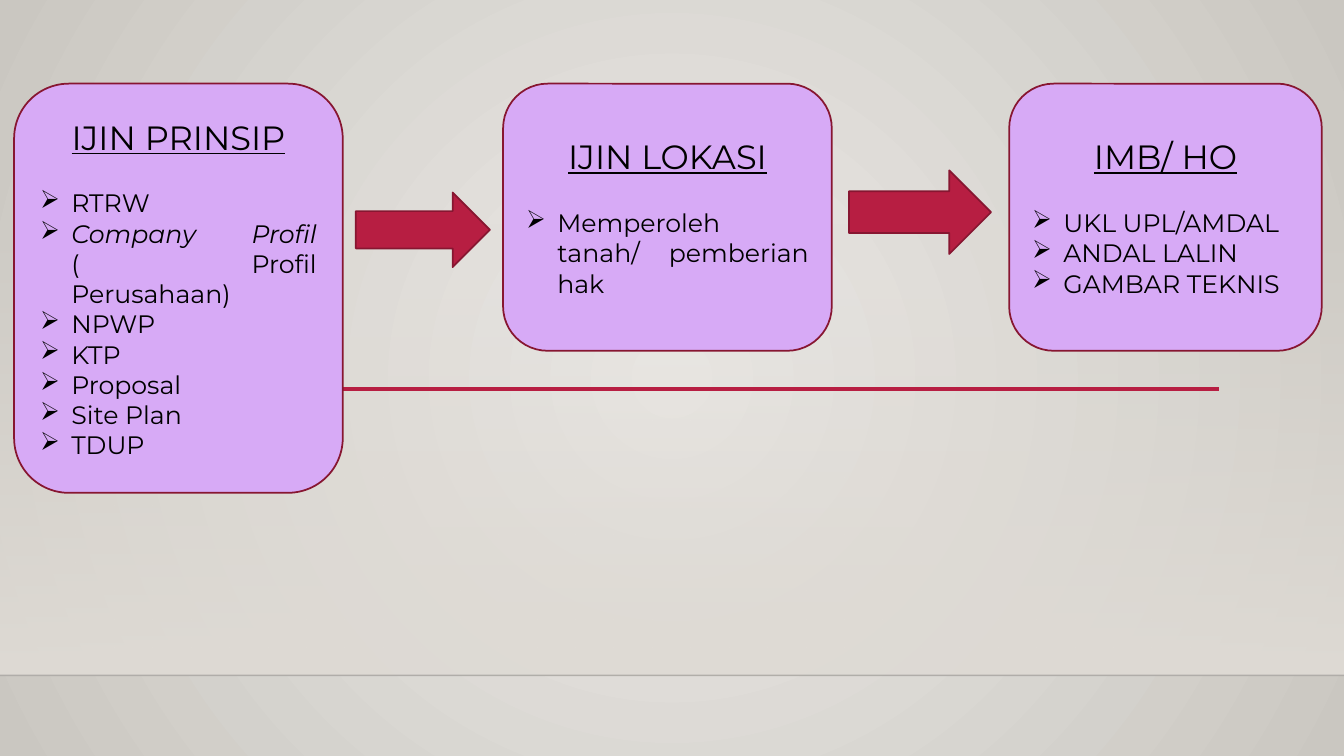
from pptx import Presentation
from pptx.dml.color import RGBColor
from pptx.enum.shapes import MSO_CONNECTOR, MSO_SHAPE
from pptx.enum.text import MSO_ANCHOR, PP_ALIGN
from pptx.oxml import parse_xml
from pptx.oxml.ns import nsdecls, qn
from pptx.util import Pt

PX = 9144  # EMU per px, 100 px to the inch
WIDTH, HEIGHT = 1333, 750
FLOOR_Y, CARD_TOP = 670, 83
FONT = "Montserrat"
RED, DARK_RED, LILAC, BLACK = "B71E42", "871631", "D7AAF6", "000000"
INDENT = 31

# left, width, height, heading, items; an item is a list of (text, italic)
CARDS = [
    (14, 326, 406, "IJIN PRINSIP", [
        [("RTRW", False)],
        [("Company Profil ", True), ("( Profil Perusahaan)", False)],
        [("NPWP", False)],
        [("KTP", False)],
        [("Proposal", False)],
        [("Site Plan", False)],
        [("TDUP", False)],
    ]),
    (499, 326, 265, "IJIN LOKASI", [
        [("Memperoleh tanah/ pemberian hak", False)],
    ]),
    (1001, 310, 265, "IMB/ HO", [
        [("UKL UPL/AMDAL", False)],
        [("ANDAL LALIN", False)],
        [("GAMBAR TEKNIS", False)],
    ]),
]
ARROWS = [(353, 191, 133, 74), (842, 169, 141, 83)]


def rgb(color):
    return RGBColor.from_string(color)


def set_gradient(fill, owner, stops, direction):
    """Fill with (position, colour, opacity) stops, all in percent."""
    fill.background()
    empty = owner.find(".//" + qn("a:noFill"))
    gs = "".join(
        f'<a:gs pos="{pos * 1000}"><a:srgbClr val="{color}">'
        f'<a:alpha val="{opacity * 1000}"/></a:srgbClr></a:gs>'
        for pos, color, opacity in stops)
    empty.getparent().replace(empty, parse_xml(
        f'<a:gradFill {nsdecls("a")} rotWithShape="1">'
        f'<a:gsLst>{gs}</a:gsLst>{direction}</a:gradFill>'))


def add_box(s, kind, left, top, width, height, fill=None, line=None):
    sp = s.shapes.add_shape(kind, left * PX, top * PX, width * PX, height * PX)
    sp.shadow.inherit = False
    if fill:
        sp.fill.solid()
        sp.fill.fore_color.rgb = rgb(fill)
    if line:
        sp.line.color.rgb = rgb(line)
        sp.line.width = Pt(1.25)
    return sp


def add_line(s, left, right, y, color, width, opacity=100):
    line = s.shapes.add_connector(
        MSO_CONNECTOR.STRAIGHT, left * PX, y * PX, right * PX, y * PX)
    line.line.color.rgb = rgb(color)
    line.line.width = Pt(width)
    if opacity < 100:
        line.element.spPr.find(".//" + qn("a:srgbClr")).append(
            parse_xml(f'<a:alpha {nsdecls("a")} val="{opacity * 1000}"/>'))
    line.element.spPr.append(parse_xml(f'<a:effectLst {nsdecls("a")}/>'))


def add_text(p, text, size=18, color=BLACK, italic=False, underline=False):
    r = p.add_run()
    r.text = text
    r.font.name = FONT
    r.font.size = Pt(size)
    r.font.color.rgb = rgb(color)
    r.font.italic = italic
    r.font.underline = underline


def set_bullet(p):
    pPr = p._p.get_or_add_pPr()
    pPr.set("marL", str(INDENT * PX))
    pPr.set("indent", str(-INDENT * PX))
    pPr.append(parse_xml(f'<a:buChar {nsdecls("a")} char="➢"/>'))


def add_card(s, left, width, height, heading, items):
    sp = add_box(s, MSO_SHAPE.ROUNDED_RECTANGLE, left, CARD_TOP, width, height,
                 fill=LILAC, line=DARK_RED)
    tf = sp.text_frame
    tf.word_wrap = True
    tf.vertical_anchor = MSO_ANCHOR.MIDDLE
    p = tf.paragraphs[0]
    p.alignment = PP_ALIGN.CENTER
    p.space_after = Pt(22)
    add_text(p, heading, size=24, underline=True)
    for item in items:
        p = tf.add_paragraph()
        p.alignment = PP_ALIGN.JUSTIFY
        set_bullet(p)
        for text, italic in item:
            add_text(p, text, italic=italic)


def add_backdrop(s):
    set_gradient(
        s.background.fill, s.element,
        [(0, "ECEAE7", 100), (100, "CAC7C1", 100)],
        '<a:path path="circle">'
        '<a:fillToRect l="50000" t="50000" r="50000" b="50000"/></a:path>')
    wall = add_box(s, MSO_SHAPE.RECTANGLE, 0, 221, WIDTH, FLOOR_Y - 221)
    set_gradient(wall.fill, wall.element,
                 [(0, "DFDBD5", 0), (100, "DFDBD5", 100)],
                 '<a:lin ang="5400000" scaled="0"/>')
    wall.line.fill.background()
    add_line(s, 0, WIDTH, FLOOR_Y, "000001", 1, opacity=20)


def main():
    prs = Presentation()
    prs.slide_width, prs.slide_height = WIDTH * PX, HEIGHT * PX
    s = prs.slides.add_slide(prs.slide_layouts[6])

    # Background, wall and floor edge
    add_backdrop(s)

    # Line running behind the first card
    add_line(s, 264, 1209, 386, RED, 2.5)

    # Permit steps and the arrows between them
    for card in CARDS:
        add_card(s, *card)
    for arrow in ARROWS:
        add_box(s, MSO_SHAPE.RIGHT_ARROW, *arrow, fill=RED, line=DARK_RED)

    prs.save("out.pptx")


if __name__ == "__main__":
    main()
